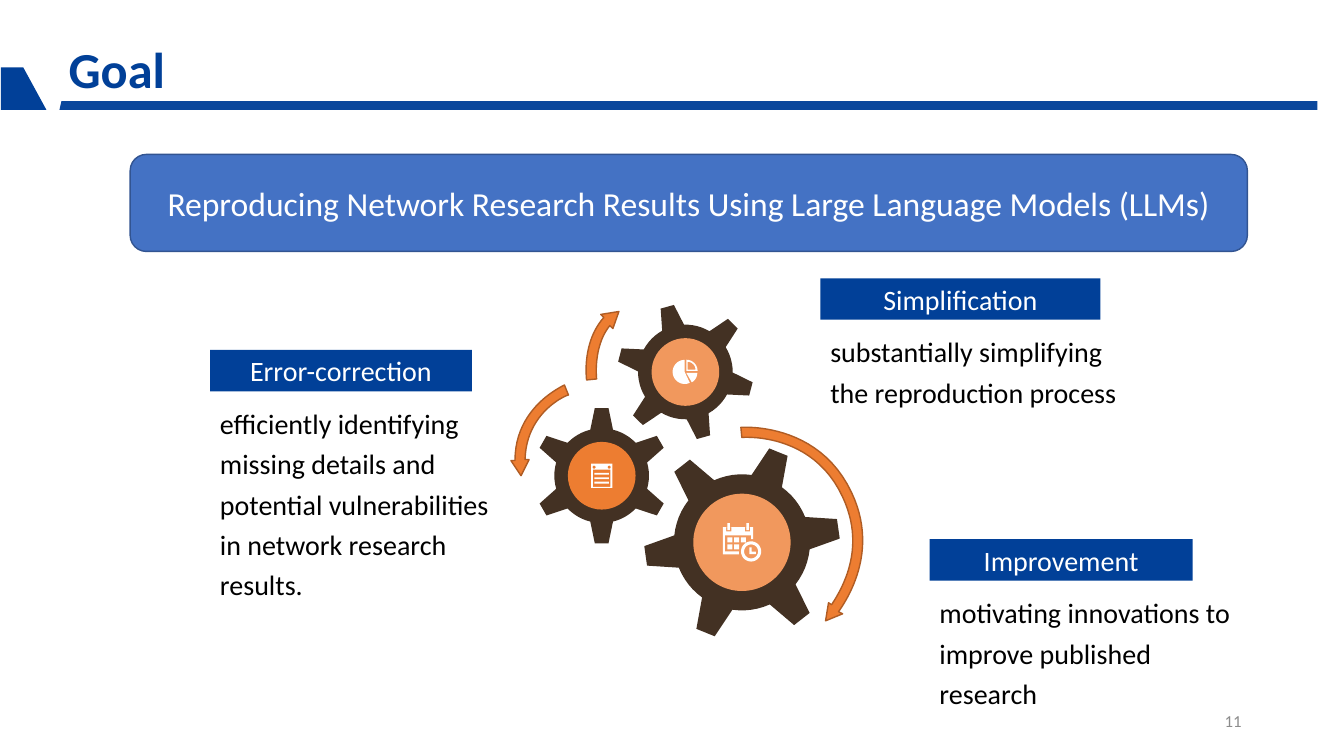
from math import cos, sin, radians
from pptx import Presentation
from pptx.dml.color import RGBColor
from pptx.enum import shapes, text
from pptx.oxml import ns, xmlchemy
from pptx.util import Pt

NAVY = RGBColor(0x01, 0x40, 0x98)
BLUE = RGBColor(0x44, 0x72, 0xC4)
EDGE = RGBColor(0x32, 0x54, 0x91)
ORANGE = RGBColor(0xED, 0x7D, 0x31)
RUST = RGBColor(0xAF, 0x5C, 0x24)
PEACH = RGBColor(0xF1, 0x98, 0x5D)
BROWN = RGBColor(0x43, 0x31, 0x23)
GREY = RGBColor(0x8C, 0x8C, 0x8C)
BLACK = RGBColor(0, 0, 0)
WHITE = RGBColor(255, 255, 255)

LEFT, MID, RIGHT = text.PP_ALIGN.LEFT, text.PP_ALIGN.CENTER, text.PP_ALIGN.RIGHT

ARROWS = [
    [(41.1, 65.2), (38.2, 58), (37.5, 58.8, 2.9, 73.2, 2.9, 112), (0, 112),
     (7.2, 122.8), (13, 111.3), (10.1, 111.3), (10.8, 77.5, 39.6, 65.2, 41.1, 65.2)],
    [(72.8, 17.7), (77.1, 5.5), (64.1, 7.6), (66.3, 9.8),
     (50.4, 27.8, 54, 53.7, 54, 54.4), (61.2, 53.7),
     (61.2, 53.7, 58.4, 30.7, 70.6, 15.6)],
    [(243.4, 135.1), (219.6, 84, 164.9, 88.3, 164.2, 88.3), (164.9, 95.5),
     (165.6, 95.5, 215.3, 91.2, 236.9, 138), (252.8, 171.8, 239.1, 199.9, 229, 215),
     (226.8, 213.6), (224.7, 226.5), (236.9, 221.5), (234, 220),
     (244.1, 205.6, 261.4, 173.2, 243.4, 135.1)],
]

CARDS = [
    ("Improvement", "motivating innovations to improve published research",
     (664, 385.2, 230, 96), 188),
    ("Error-correction", "efficiently identifying missing details and potential "
     "vulnerabilities in network research results.", (150, 250, 214, 150), 187),
    ("Simplification", "substantially simplifying the reproduction process",
     (586, 198.8, 235, 86), 200),
]


def paint(shape, fill, line=None):
    """Fill and outline a shape without shadow."""
    shape.shadow.inherit = False
    shape.fill.solid()
    shape.fill.fore_color.rgb = fill
    if line is None:
        shape.line.fill.background()
    else:
        shape.line.color.rgb = line
        shape.line.width = Pt(1)


def draw(slide, loops, x, y, fill, line=None):
    """Draw closed loops of points, offset by x and y, as one freeform."""
    pen = None
    for loop in loops:
        pts = [(Pt(x + a), Pt(y + b)) for a, b in loop]
        if pen is None:
            pen = slide.shapes.build_freeform(*pts[0])
        else:
            pen.move_to(*pts[0])
        pen.add_line_segments(pts[1:], close=True)
    shape = pen.convert_to_shape()
    paint(shape, fill, line)
    return shape


def trace(steps, count=24):
    """Turn points and Bézier steps into a list of points."""
    pts = []
    for step in steps:
        if len(step) == 2:
            pts.append(step)
            continue
        ends = (pts[-1], step[:2], step[2:4], step[4:])
        for i in range(1, count + 1):
            t = i / count
            mix = ((1 - t) ** 3, 3 * t * (1 - t) ** 2, 3 * t * t * (1 - t), t ** 3)
            pts.append(tuple(sum(m * e[k] for m, e in zip(mix, ends)) for k in (0, 1)))
    return pts


def arc(x, y, r, start=0, end=360, count=36):
    """Return points along an arc."""
    turns = [radians(start + (end - start) * i / count) for i in range(count + 1)]
    return [(x + r * cos(t), y + r * sin(t)) for t in turns]


def rect(x, y, w, h):
    """Return the corners of a rectangle."""
    return [(x, y), (x + w, y), (x + w, y + h), (x, y + h)]


def write(shape, words, size, color, align=LEFT, anchor=text.MSO_ANCHOR.MIDDLE, bold=False):
    """Put one formatted run into a shape."""
    frame = shape.text_frame
    frame.word_wrap = True
    frame.auto_size = text.MSO_AUTO_SIZE.NONE
    frame.vertical_anchor = anchor
    para = frame.paragraphs[0]
    para.alignment = align
    run = para.add_run()
    run.text = words
    font = run.font
    font.name, font.size, font.bold = "Calibri", Pt(size), bold
    font.color.rgb = color
    return para


def head(slide, x, y, w, h):
    """Place the title with its rule and corner tab."""
    base = y + h
    rule = draw(slide, [[(42.5, 0), (w, 0), (w, -6.2), (43.9, -6.2)]], x, base, NAVY)
    tint = rule.fill._xPr.find(".//" + ns.qn("a:srgbClr"))
    alpha = xmlchemy.OxmlElement("a:alpha")
    alpha.set("val", "96000")
    tint.append(alpha)
    draw(slide, [[(16.6, -30.3), (33.1, 0), (0.7, 0), (0.7, -30.3)]], x, base, NAVY)
    title = slide.shapes.title
    title.left, title.top, title.width, title.height = map(Pt, (x + 49, y, 795, 30))
    frame = title.text_frame
    frame.margin_left = frame.margin_right = 0
    write(title, "Goal", 36, NAVY, bold=True)


def banner(slide, *box):
    """Place the rounded topic banner."""
    shape = slide.shapes.add_shape(shapes.MSO_SHAPE.ROUNDED_RECTANGLE, *map(Pt, box))
    paint(shape, BLUE, EDGE)
    write(shape, "Reproducing Network Research Results Using Large Language Models (LLMs)",
          24, WHITE, MID)


def gear(slide, x, y, r, turn, hub, icon):
    """Place a six-toothed gear with a hub and an icon."""
    rim = []
    for k in range(6):
        mid = turn + 60 * k
        c, s = cos(radians(mid)), sin(radians(mid))
        for out, side in ((0.97, -0.24), (1.43, -0.145), (1.43, 0.145), (0.97, 0.24)):
            rim.append((r * (out * c - side * s), r * (out * s + side * c)))
        rim += arc(0, 0, r, mid + 14, mid + 46, 6)
    draw(slide, [rim], x, y, BROWN)
    rad = 0.715 * r
    disc = slide.shapes.add_shape(shapes.MSO_SHAPE.OVAL, Pt(x - rad), Pt(y - rad),
                                  Pt(2 * rad), Pt(2 * rad))
    paint(disc, hub)
    draw(slide, icon, x, y, WHITE)


def pie():
    """Return the loops of the pie chart icon."""
    return [[(-0.5, 0)] + arc(-0.5, 0, 8.6, 65, 270),
            [(0.7, -0.7)] + arc(0.7, -0.7, 8, -90, 0),
            [(1.6, -1.6)] + arc(1.6, -1.6, 5.6, -90, 0),
            [(0.7, 0.7)] + arc(0.7, 0.7, 7.8, 0, 60)]


def sheet():
    """Return the loops of the list icon."""
    dots = [arc(x, -6.1, 1.1) for x in (-5.4, 5.4)]
    rows = [rect(-5.2, y, 10.4, 1.3) for y in (-2.1, 1.1, 4.3)]
    return [rect(-7.6, -8.6, 15.2, 17.2), rect(-6.3, -4.3, 12.6, 12.2)] + dots + rows


def dates():
    """Return the loops of the calendar and clock icon."""
    frame = [(-13.7, -10.8), (7.9, -10.8), (7.9, -2.2), (6.5, -2.2), (6.5, -5),
             (-12.2, -5), (-12.2, 6.5), (-2.2, 6.5), (-2.2, 8.6), (-13.7, 8.6)]
    slots = [rect(x, -10.8, 3.8, 2.9) for x in (-11.4, 2.1)]
    rings = [rect(x, -13.7, 1.8, 5) for x in (-10.4, 3.1)]
    cells = [rect(-10.4 + 4.8 * (k % 3), -3.6 + 5 * (k // 3), 3.6, 3.6) for k in range(5)]
    hands = [(5.2, 3.6), (6.8, 3.6), (6.8, 6.6), (10, 6.6), (10, 8.4), (5.2, 8.4)]
    clock = [arc(6.5, 6.5, 7.2), arc(6.5, 6.5, 5), hands]
    return [frame] + slots + rings + cells + clock


def gears(slide, x, y):
    """Place the three gears and the arrows around them."""
    for steps in ARROWS:
        draw(slide, [trace(steps)], x, y, ORANGE, RUST)
    gear(slide, x + 165, y + 170.4, 48.6, -68, PEACH, dates())
    gear(slide, x + 64.8, y + 122.8, 33.8, -90, ORANGE, sheet())
    gear(slide, x + 124.6, y + 48.7, 33.8, -105.5, PEACH, pie())


def card(slide, name, words, box, wide):
    """Place a label and the text below it."""
    x, y, w, h = box
    tag = slide.shapes.add_shape(shapes.MSO_SHAPE.RECTANGLE, *map(Pt, (x, y, wide, 29.6)))
    paint(tag, NAVY)
    write(tag, name, 20, WHITE, MID)
    note = slide.shapes.add_textbox(*map(Pt, (x, y + 32, w, h)))
    write(note, words, 20, BLACK, anchor=text.MSO_ANCHOR.TOP).line_spacing = 1.2


def foot(slide, *box):
    """Place the page number."""
    write(slide.shapes.add_textbox(*map(Pt, box)), "11", 12, GREY, RIGHT)


def main():
    """Build and save the slide."""
    deck = Presentation()
    deck.slide_width, deck.slide_height = Pt(960), Pt(540)
    slide = deck.slides.add_slide(deck.slide_layouts[5])
    head(slide, 0, 34, 941, 44.4)
    foot(slide, 678, 500.5, 216, 28.8)
    banner(slide, 93, 110.3, 798, 69.3)
    gears(slide, 365, 217)
    for item in CARDS:
        card(slide, *item)
    deck.save("out.pptx")


if __name__ == "__main__":
    main()
